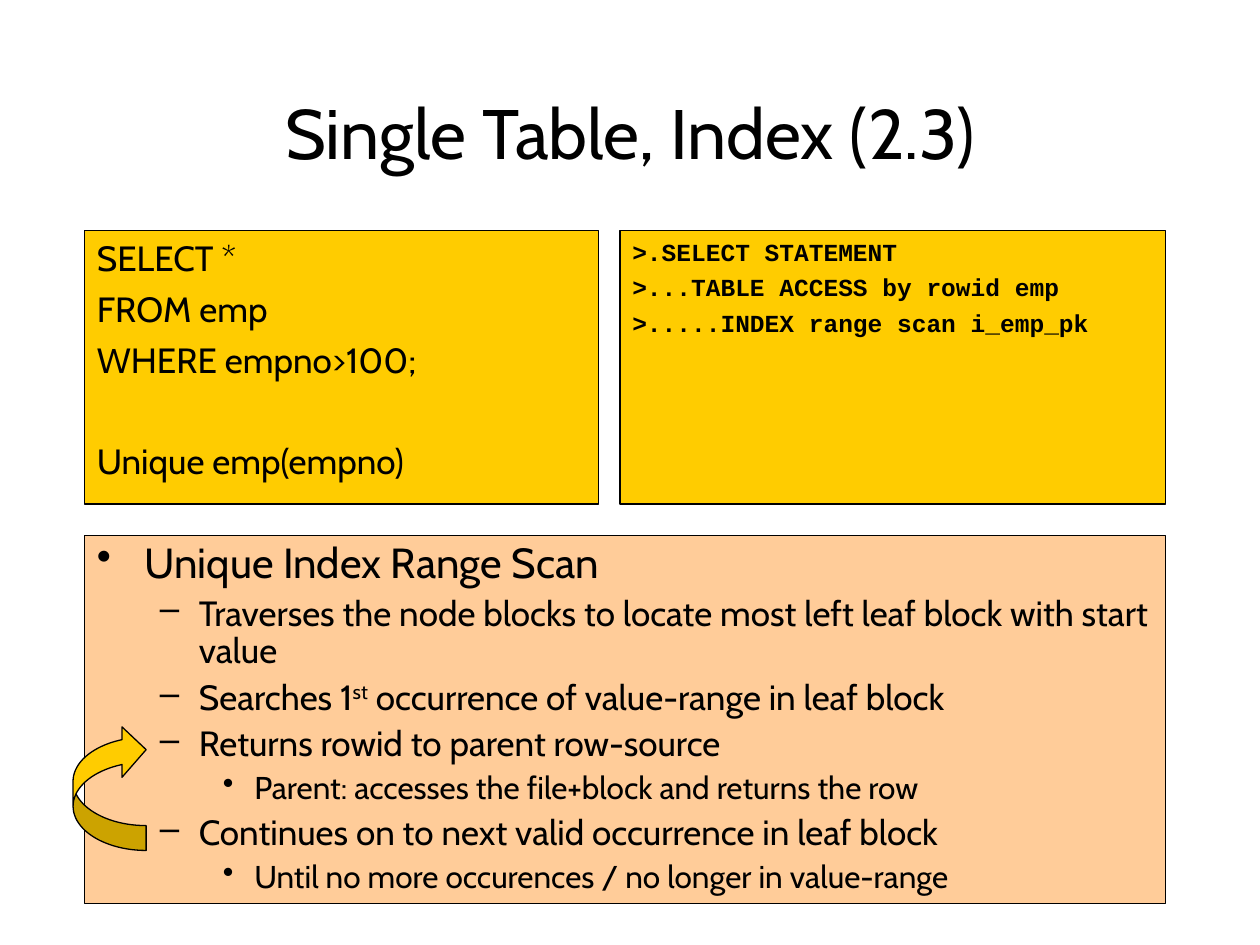
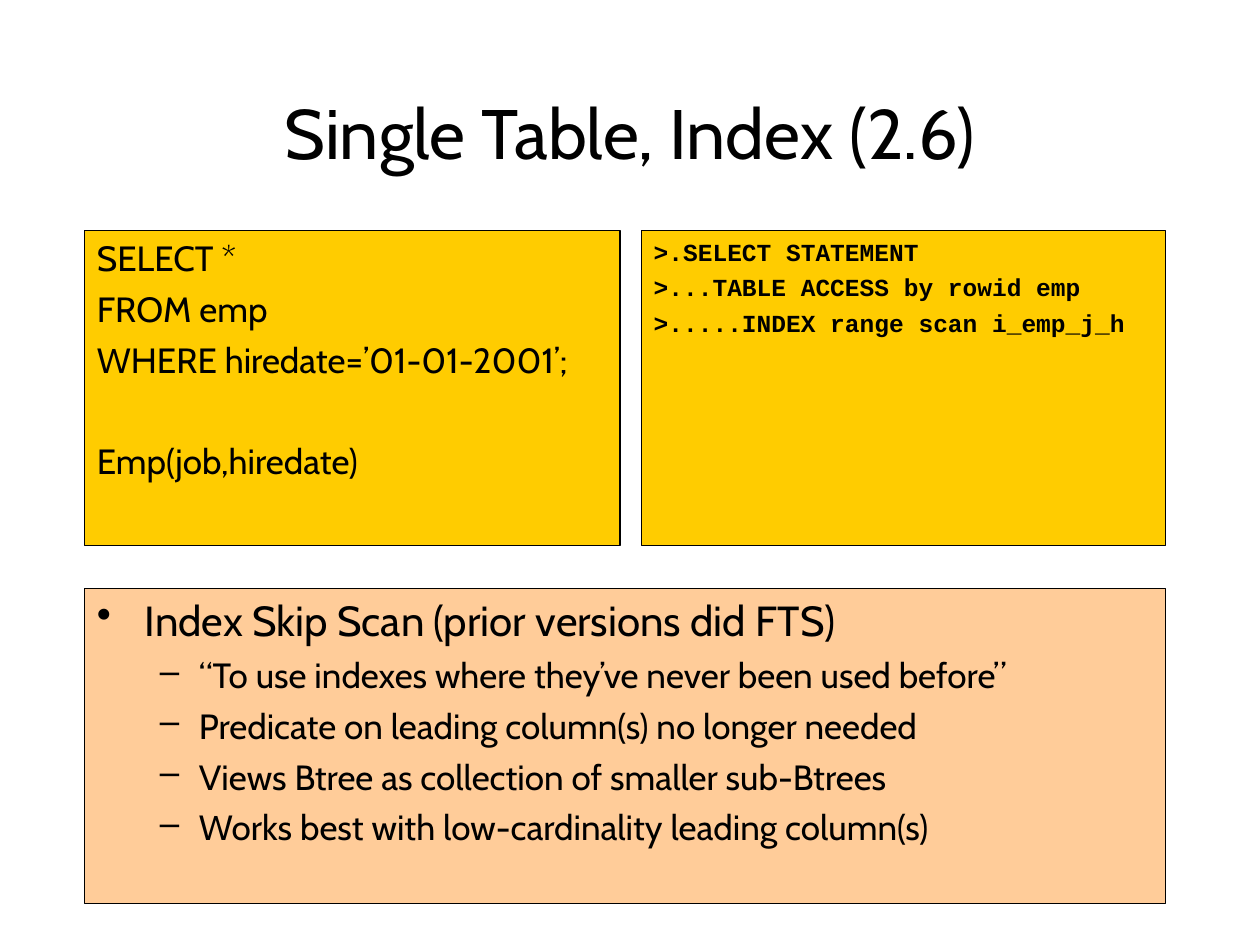
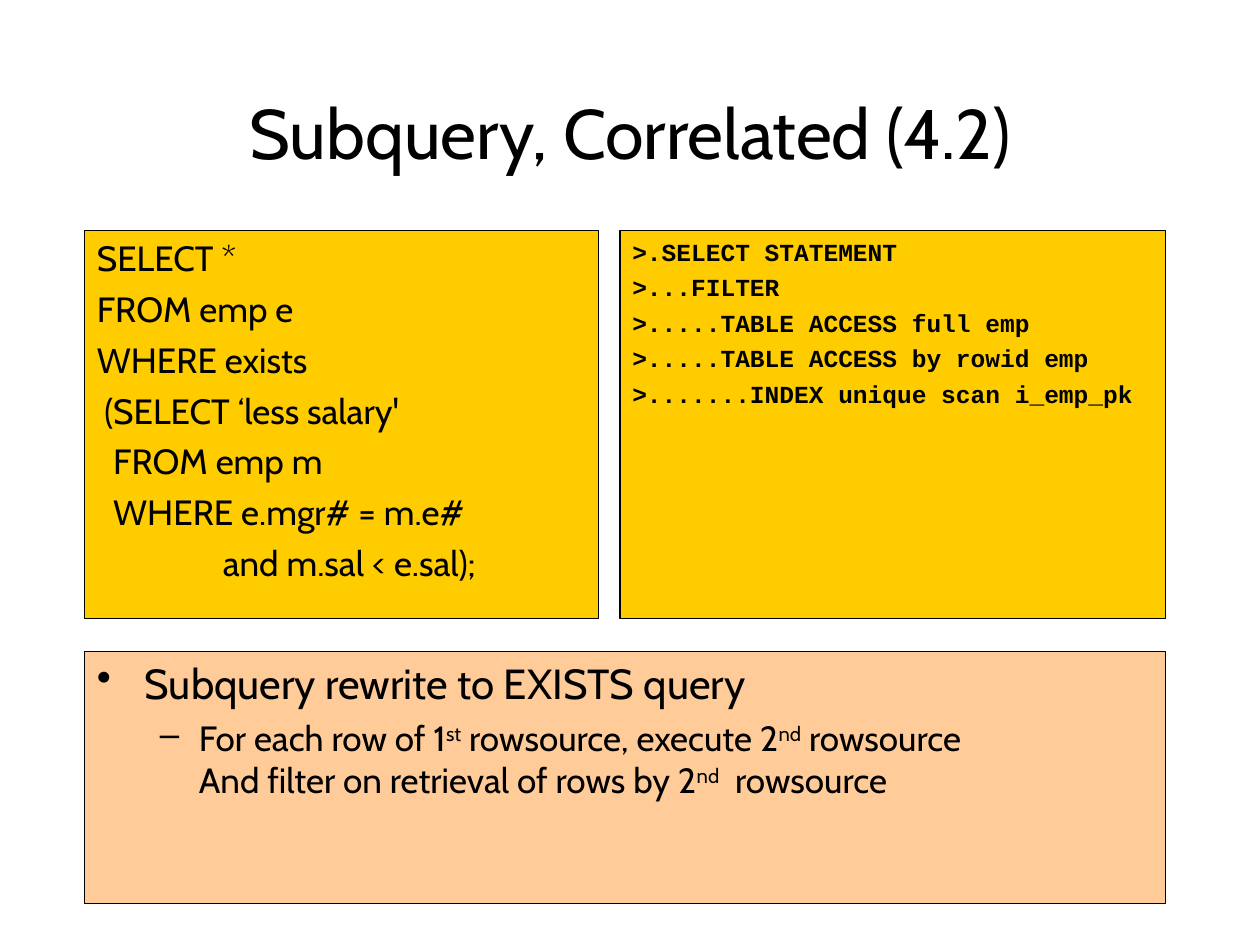
"""Build three slides that explain SQL execution plans."""
from lxml import etree
from pptx import Presentation
from pptx import util as u
from pptx.dml import color
from pptx.enum import shapes, text
from pptx.oxml import ns

COLORS = {"ink": "000000", "code": "FFCC00", "notes": "FFCC99"}
BODY_FONT, PLAN_FONT = "Cabin", "Courier New"
LEFT, RIGHT, BOTTOM = 0.67, 9.25, 7.17
CODE_TOP, CODE_GAP = 1.83, 0.17
HANGING = 0.38
LINE_PITCH = 29

LEVELS = [
    {"size": 24, "before": 6, "margin": 0.38, "indent": -0.38, "bullet": "•"},
    {"size": 20, "before": 5, "margin": 0.81, "indent": -0.31, "bullet": "–"},
    {"size": 18, "before": 4.5, "margin": 1.25, "indent": -0.25, "bullet": "•"},
]

# Query lines: (text, indent in inches, blank lines above). Notes: (level, text), ^ marks superscript.
SLIDES = [
    {
        "title": "Single Table, Index (2.3)",
        "query": [("SELECT *", 0, 0), ("FROM emp", 0, 0), ("WHERE empno>100;", 0, 0),
                  ("Unique emp(empno)", 0, 1)],
        "plan": [">.SELECT STATEMENT", ">...TABLE ACCESS by rowid emp",
                 ">.....INDEX range scan i_emp_pk"],
        "notes": [
            (0, "Unique Index Range Scan"),
            (1, "Traverses the node blocks to locate most left leaf block with start value"),
            (1, "Searches 1^st^ occurrence of value-range in leaf block"),
            (1, "Returns rowid to parent row-source"),
            (2, "Parent: accesses the file+block and returns the row"),
            (1, "Continues on to next valid occurrence in leaf block"),
            (2, "Until no more occurences / no longer in value-range"),
        ],
        "query_width": 4.08, "code_height": 2.17, "notes_top": 4.25,
        "line_spacing": 0.9, "loop_arrow": (0.58, 5.75, 0.58, 1),
    },
    {
        "title": "Single Table, Index (2.6)",
        "query": [("SELECT *", 0, 0), ("FROM emp", 0, 0),
                  ("WHERE hiredate=’01-01-2001’;", 0, 0), ("Emp(job,hiredate)", 0, 1)],
        "plan": [">.SELECT STATEMENT", ">...TABLE ACCESS by rowid emp",
                 ">.....INDEX range scan i_emp_j_h"],
        "notes": [
            (0, "Index Skip Scan (prior versions did FTS)"),
            (1, "“To use indexes where they’ve never been used before”"),
            (1, "Predicate on leading column(s) no longer needed"),
            (1, "Views Btree as collection of smaller sub-Btrees"),
            (1, "Works best with low-cardinality leading column(s)"),
        ],
        "query_width": 4.25, "code_height": 2.5, "notes_top": 4.67,
    },
    {
        "title": "Subquery, Correlated (4.2)",
        "query": [("SELECT *", 0, 0), ("FROM emp e", 0, 0), ("WHERE exists", 0, 0),
                  ("(SELECT ‘less salary'", 0.06, 0), ("FROM emp m", 0.13, 0),
                  ("WHERE e.mgr# = m.e#", 0.13, 0), ("and m.sal < e.sal);", 1, 0)],
        "plan": [">.SELECT STATEMENT", ">...FILTER", ">.....TABLE ACCESS full emp",
                 ">.....TABLE ACCESS by rowid emp", ">.......INDEX unique scan i_emp_pk"],
        "notes": [
            (0, "Subquery rewrite to EXISTS query"),
            (1, "For each row of 1^st^ rowsource, execute 2^nd^ rowsource\n"
                "And filter on retrieval of rows by 2^nd^  rowsource"),
        ],
        "query_width": 4.08, "code_height": 3.08, "notes_top": 5.17,
    },
]


def rgb(name):
    return color.RGBColor.from_string(COLORS[name])


def add_run(paragraph, content, size, font=BODY_FONT, bold=False, raised=False):
    run = paragraph.add_run()
    run.text = content
    run.font.size = u.Pt(size)
    run.font.name = font
    run.font.bold = bold
    run.font.color.rgb = rgb("ink")
    if raised:
        run.font._element.set("baseline", "30000")


def add_marked_text(paragraph, content, size):
    for number, line in enumerate(content.split("\n")):
        if number:
            paragraph.add_line_break()
        for index, part in enumerate(line.split("^")):
            if part:
                add_run(paragraph, part, size, raised=index % 2 == 1)


def next_paragraph(frame, before, margin, indent):
    first = frame.paragraphs[0]
    paragraph = frame.add_paragraph() if first.runs else first
    paragraph.alignment = text.PP_ALIGN.LEFT
    paragraph.space_before = u.Pt(before)
    properties = paragraph._p.get_or_add_pPr()
    properties.set("marL", str(u.Inches(margin)))
    properties.set("indent", str(u.Inches(indent)))
    return paragraph


def add_outlined(slide, kind, place, fill):
    shape = slide.shapes.add_shape(kind, *map(u.Inches, place))
    shape.shadow.inherit = False
    shape.fill.solid()
    shape.fill.fore_color.rgb = rgb(fill)
    shape.line.color.rgb = rgb("ink")
    shape.line.width = u.Pt(0.75)
    return shape


def add_panel(slide, place, fill):
    frame = add_outlined(slide, shapes.MSO_SHAPE.RECTANGLE, place, fill).text_frame
    frame.word_wrap = True
    frame.vertical_anchor = text.MSO_ANCHOR.TOP
    return frame


def add_title(slide, title):
    box = slide.shapes.add_textbox(*map(u.Inches, (0.75, 0.67, 8.5, 0.75)))
    frame = box.text_frame
    frame.word_wrap = True
    frame.vertical_anchor = text.MSO_ANCHOR.MIDDLE
    frame.paragraphs[0].alignment = text.PP_ALIGN.CENTER
    add_run(frame.paragraphs[0], title, 40)


def add_notes(slide, content):
    top = content["notes_top"]
    frame = add_panel(slide, (LEFT, top, RIGHT - LEFT, BOTTOM - top), "notes")
    for level, note in content["notes"]:
        style = LEVELS[level]
        paragraph = next_paragraph(frame, style["before"], style["margin"], style["indent"])
        paragraph.level = level
        paragraph.line_spacing = content.get("line_spacing", 1.0)
        bullet = etree.SubElement(paragraph._p.get_or_add_pPr(), ns.qn("a:buChar"))
        bullet.set("char", style["bullet"])
        add_marked_text(paragraph, note, style["size"])


def add_plan(slide, content):
    left = LEFT + content["query_width"] + CODE_GAP
    place = (left, CODE_TOP, RIGHT - left, content["code_height"])
    frame = add_panel(slide, place, "code")
    for step in content["plan"]:
        paragraph = next_paragraph(frame, 3.5, HANGING, -HANGING)
        add_run(paragraph, step, 14, PLAN_FONT, bold=True)


def add_query(slide, content):
    place = (LEFT, CODE_TOP, content["query_width"], content["code_height"])
    frame = add_panel(slide, place, "code")
    for line, indent, blanks in content["query"]:
        before = 5 + blanks * LINE_PITCH
        paragraph = next_paragraph(frame, before, HANGING + indent, -HANGING)
        add_run(paragraph, line, 20)


def add_loop_arrow(slide, place):
    arrow = add_outlined(slide, shapes.MSO_SHAPE.CURVED_RIGHT_ARROW, place, "code")
    for index, value in enumerate((0.34, 0.69, 0.33)):
        arrow.adjustments[index] = value
    arrow._element.spPr.find(ns.qn("a:xfrm")).set("flipV", "1")


def main():
    presentation = Presentation()
    presentation.slide_width = u.Inches(10)
    presentation.slide_height = u.Inches(7.5)
    for content in SLIDES:
        slide = presentation.slides.add_slide(presentation.slide_layouts[6])
        add_title(slide, content["title"])
        add_notes(slide, content)
        add_plan(slide, content)
        add_query(slide, content)
        if "loop_arrow" in content:
            add_loop_arrow(slide, content["loop_arrow"])
    presentation.save("out.pptx")


if __name__ == "__main__":
    main()
